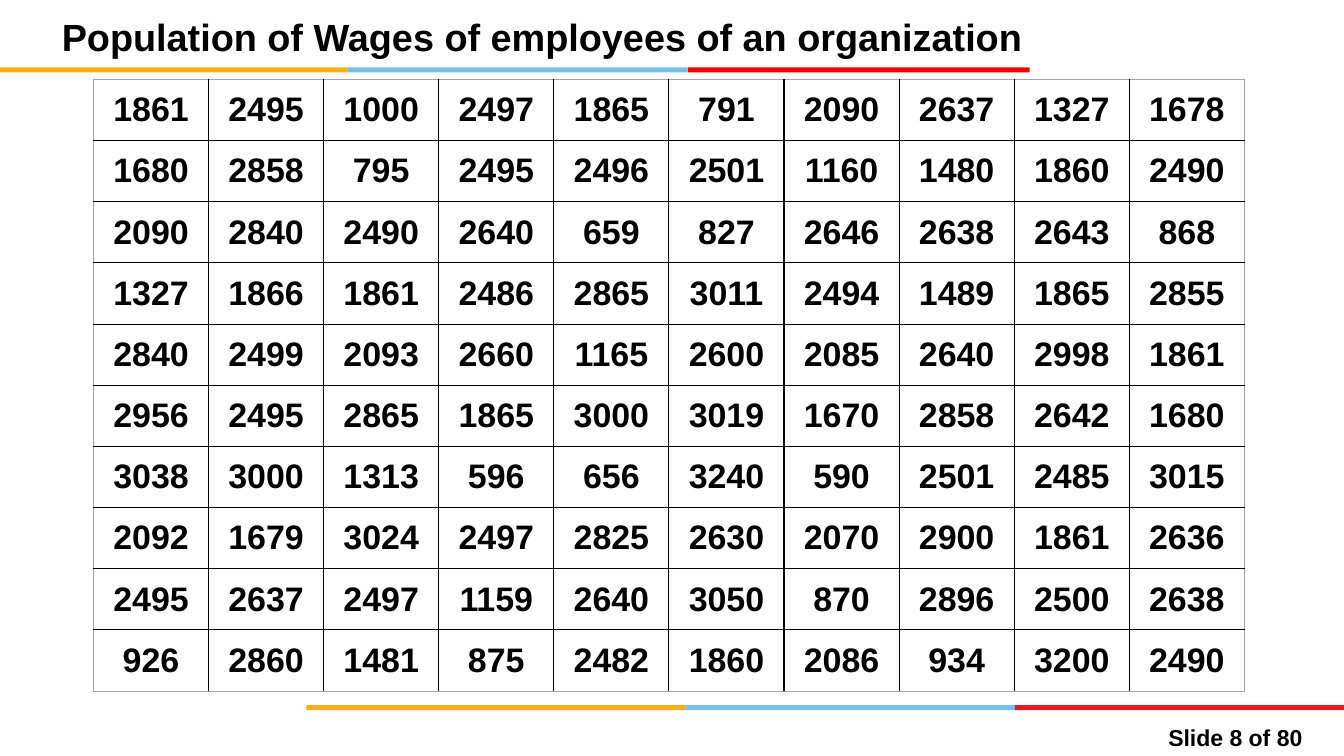
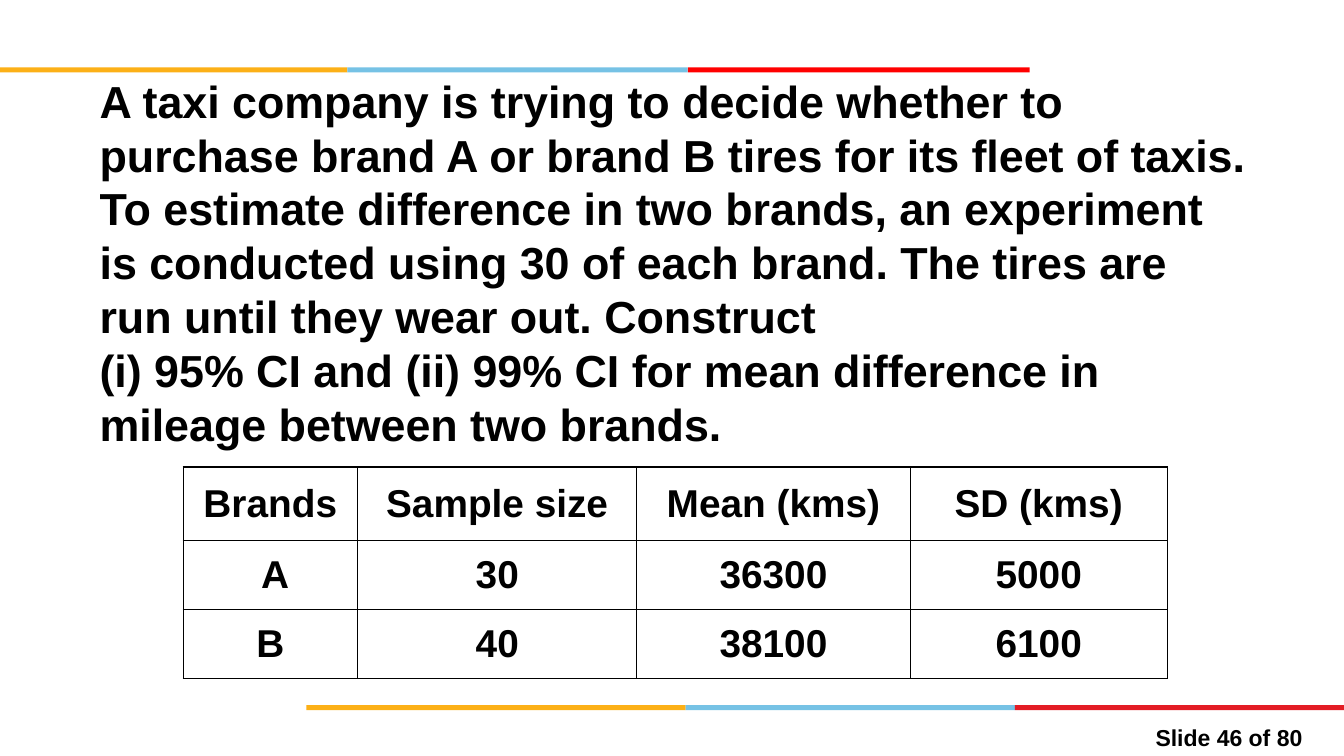
from lxml import etree
from pptx import Presentation
from pptx.dml.color import RGBColor
from pptx.enum.shapes import MSO_SHAPE
from pptx.enum.text import MSO_ANCHOR, PP_ALIGN
from pptx.oxml.ns import qn
from pptx.util import Cm, Pt

RECTANGLE = MSO_SHAPE.RECTANGLE
TOP, MIDDLE = MSO_ANCHOR.TOP, MSO_ANCHOR.MIDDLE
LEFT, CENTER, RIGHT = PP_ALIGN.LEFT, PP_ALIGN.CENTER, PP_ALIGN.RIGHT

COLORS = {
    "ink": "000000",
    "grid_edge": "A6A6A6",
    "amber": "FCB017",
    "sky": "76C2E5",
    "red": "FF0000",
    "crimson": "E31C24",
}
FONT = "Arial"
PAGE_WIDTH, PAGE_HEIGHT = 39.12, 22
BAND_HEIGHT = 0.15
PAGE_COUNT = 80

WAGES = [
    [1861, 2495, 1000, 2497, 1865, 791, 2090, 2637, 1327, 1678],
    [1680, 2858, 795, 2495, 2496, 2501, 1160, 1480, 1860, 2490],
    [2090, 2840, 2490, 2640, 659, 827, 2646, 2638, 2643, 868],
    [1327, 1866, 1861, 2486, 2865, 3011, 2494, 1489, 1865, 2855],
    [2840, 2499, 2093, 2660, 1165, 2600, 2085, 2640, 2998, 1861],
    [2956, 2495, 2865, 1865, 3000, 3019, 1670, 2858, 2642, 1680],
    [3038, 3000, 1313, 596, 656, 3240, 590, 2501, 2485, 3015],
    [2092, 1679, 3024, 2497, 2825, 2630, 2070, 2900, 1861, 2636],
    [2495, 2637, 2497, 1159, 2640, 3050, 870, 2896, 2500, 2638],
    [926, 2860, 1481, 875, 2482, 1860, 2086, 934, 3200, 2490],
]
TIRES = [
    ["Brands", "Sample size", "Mean (kms)", "SD (kms)"],
    [" A", 30, 36300, 5000],
    ["B", 40, 38100, 6100],
]
QUESTION = [
    "A taxi company is trying to decide whether to purchase brand A or brand B "
    "tires for its fleet of taxis. To estimate difference in two brands, an "
    "experiment is conducted using 30 of each brand. The tires are run until "
    "they wear out. Construct",
    "(i) 95% CI and (ii) 99% CI for mean difference in mileage between two brands.",
]


def add_span(para, text, size):
    span = para.add_run()
    span.text = text
    span.font.name = FONT
    span.font.size = Pt(size)
    span.font.bold = True
    span.font.color.rgb = RGBColor.from_string(COLORS["ink"])


def add_text(page, box, paragraphs, size, align=LEFT, anchor=TOP,
             inset=(0.25, 0.13), line_spacing=None):
    frame = page.shapes.add_textbox(*map(Cm, box)).text_frame
    frame.word_wrap = True
    frame.vertical_anchor = anchor
    frame.margin_left = frame.margin_right = Cm(inset[0])
    frame.margin_top = frame.margin_bottom = Cm(inset[1])
    for index, text in enumerate(paragraphs):
        para = frame.add_paragraph() if index else frame.paragraphs[0]
        para.alignment = align
        if line_spacing:
            para.line_spacing = line_spacing
        add_span(para, text, size)


def add_band(page, top, edges, color_names):
    """Draw a thin strip whose colours change at the given edges."""
    for left, right, name in zip(edges, edges[1:], color_names):
        bar = page.shapes.add_shape(
            RECTANGLE, Cm(left), Cm(top), Cm(right - left), Cm(BAND_HEIGHT))
        bar.shadow.inherit = False
        bar.fill.solid()
        bar.fill.fore_color.rgb = RGBColor.from_string(COLORS[name])
        bar.line.fill.background()


def add_border(cell, side, color_name):
    line = etree.SubElement(
        cell._tc.get_or_add_tcPr(), qn(f"a:ln{side}"), w=str(Pt(1)))
    fill = etree.SubElement(line, qn("a:solidFill"))
    etree.SubElement(fill, qn("a:srgbClr"), val=COLORS[color_name])


def add_grid(page, left, top, widths, heights, rows, size, edge="ink"):
    """Add a ruled table; edge names the colour of its outer frame."""
    box = (left, top, sum(widths), sum(heights))
    table = page.shapes.add_table(
        len(heights), len(widths), *map(Cm, box)).table
    table.first_row = table.horz_banding = False
    for column, width in zip(table.columns, widths):
        column.width = Cm(width)
    last_row, last_column = len(heights) - 1, len(widths) - 1
    for r, values in enumerate(rows):
        table.rows[r].height = Cm(heights[r])
        for c, value in enumerate(values):
            cell = table.cell(r, c)
            cell.vertical_anchor = MIDDLE
            cell.margin_left = cell.margin_right = Cm(0.38)
            cell.margin_top = cell.margin_bottom = Cm(0.15)
            outer = {"L": c == 0, "R": c == last_column,
                     "T": r == 0, "B": r == last_row}
            for side, is_outer in outer.items():
                add_border(cell, side, edge if is_outer else "ink")
            cell.fill.background()
            para = cell.text_frame.paragraphs[0]
            para.alignment = CENTER
            add_span(para, str(value), size)


def add_page(deck, number):
    """Add a blank page with the shared bands and page number."""
    page = deck.slides.add_slide(deck.slide_layouts[6])
    add_band(page, 20.52, (8.92, 19.96, 29.54, PAGE_WIDTH),
             ("amber", "sky", "crimson"))
    add_band(page, 1.96, (0, 10.11, 20.02, 29.97), ("amber", "sky", "red"))
    add_text(page, (32.44, 20.93, 5.72, 0.99),
             [f"Slide {number} of {PAGE_COUNT}"], 19, align=RIGHT)
    return page


def build_wages_page(deck):
    page = add_page(deck, 8)
    add_grid(page, 2.72, 2.31, [3.35] * 10, [1.78] * 10, WAGES, 28,
             edge="grid_edge")
    add_text(page, (1.57, 0.28, 35.2, 1.7),
             ["Population of Wages of employees of an organization"], 31.2,
             anchor=MIDDLE, inset=(0.23, 0.1), line_spacing=0.9)


def build_tires_page(deck):
    page = add_page(deck, 46)
    add_text(page, (2.54, 1.96, 34.26, 11.4), QUESTION, 37,
             inset=(0.36, 0.18))
    add_grid(page, 5.33, 13.59, [5.08, 8.13, 7.95, 7.49], [2.13, 2.01, 2.01],
             TIRES, 32)


def main():
    deck = Presentation()
    deck.slide_width, deck.slide_height = Cm(PAGE_WIDTH), Cm(PAGE_HEIGHT)
    build_wages_page(deck)
    build_tires_page(deck)
    deck.save("out.pptx")


if __name__ == "__main__":
    main()
